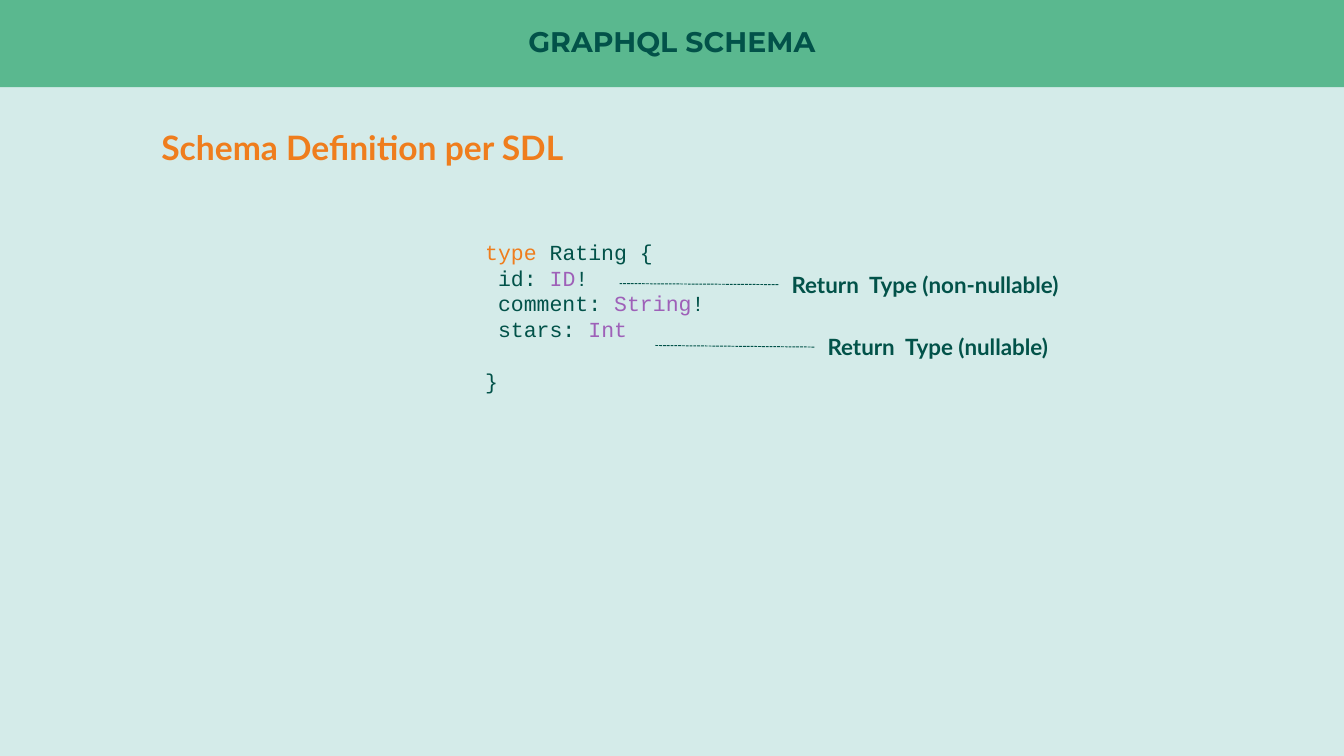
from lxml import etree
from pptx import Presentation
from pptx import util as u
from pptx.dml.color import RGBColor
from pptx.enum import dml, shapes, text
from pptx.oxml.ns import qn

COLORS = {
    "background": "D4EBE9",
    "band": "5AB88F",
    "dark": "025249",
    "orange": "EF7D1D",
    "purple": "9E60B8",
}
HEADING = {"name": "Montserrat", "size": u.Pt(15.2), "bold": True}
SUBHEADING = {"name": "Lato", "size": u.Pt(18), "bold": True}
LABEL = {"name": "Lato", "size": u.Pt(12), "bold": True}
CODE = {"name": "Courier New", "size": u.Pt(11.5), "bold": False}
CODE_PITCH = u.Pt(13.8)

WIDTH, HEIGHT, BAND_HEIGHT = 25.4, 14.29, 1.65

SCHEMA = [
    [("type", "orange"), (" Rating {", "dark")],
    [(" id: ", "dark"), ("ID", "purple"), ("!", "dark")],
    [(" comment: ", "dark"), ("String", "purple"), ("!", "dark")],
    [(" stars: ", "dark"), ("Int", "purple")],
    [("}", "dark")],
]
RETURN_TYPES = [
    ("Return  Type (non-nullable)", (14.71, 5.0), (11.71, 5.36)),
    ("Return  Type (nullable)", (15.39, 6.18), (12.37, 6.53)),
]


def color(name):
    return RGBColor.from_string(COLORS[name])


def apply(target, values):
    for name, value in values.items():
        setattr(target, name, value)


class SchemaSlide:
    def __init__(self, deck):
        self.slide = deck.slides.add_slide(deck.slide_layouts[5])
        fill = self.slide.background.fill
        fill.solid()
        fill.fore_color.rgb = color("background")

    def add_spans(self, para, spans, style, **layout):
        apply(para, layout)
        for words, tint in spans:
            span = para.add_run()
            span.text = words
            apply(span.font, style)
            span.font.color.rgb = color(tint)

    def title(self, words):
        box = self.slide.shapes.title
        apply(box, {"left": 0, "top": 0, "width": u.Cm(WIDTH), "height": u.Cm(BAND_HEIGHT)})
        band = self.slide.shapes.add_shape(
            shapes.MSO_SHAPE.RECTANGLE, 0, 0, u.Cm(WIDTH), u.Cm(BAND_HEIGHT))
        band.shadow.inherit = False
        band.fill.solid()
        band.fill.fore_color.rgb = color("band")
        band.line.fill.background()
        box.element.addprevious(band.element)
        frame = box.text_frame
        apply(frame, {"margin_left": 0, "margin_right": 0, "margin_top": 0, "margin_bottom": 0,
                      "vertical_anchor": text.MSO_ANCHOR.MIDDLE, "word_wrap": True})
        self.add_spans(frame.paragraphs[0], [(words, "dark")], HEADING,
                       alignment=text.PP_ALIGN.CENTER, line_spacing=0.9)

    def textbox(self, left, top, width, height, lines, style, **layout):
        box = self.slide.shapes.add_textbox(*map(u.Cm, (left, top, width, height)))
        frame = box.text_frame
        frame.word_wrap = True
        for index, spans in enumerate(lines):
            para = frame.add_paragraph() if index else frame.paragraphs[0]
            self.add_spans(para, spans, style, **layout)
        return box

    def leader(self, label, end):
        left, top = map(u.Cm, end)
        line = self.slide.shapes.add_connector(
            shapes.MSO_CONNECTOR.STRAIGHT, label.left, label.top, left, top)
        line.begin_connect(label, 1)
        line.line.color.rgb = color("dark")
        line.line.width = u.Pt(0.5)
        line.line.dash_style = dml.MSO_LINE.SQUARE_DOT
        etree.SubElement(line.element.spPr, qn("a:effectLst"))


def main():
    deck = Presentation()
    deck.slide_width, deck.slide_height = u.Cm(WIDTH), u.Cm(HEIGHT)
    page = SchemaSlide(deck)
    page.title("GRAPHQL SCHEMA")
    page.textbox(2.8, 2.13, 19.79, 1.12, [[("Schema Definition per SDL", "orange")]],
                 SUBHEADING, line_spacing=1.2)
    code = page.textbox(8.92, 4.39, 8.5, 4.67, SCHEMA, CODE, line_spacing=CODE_PITCH)
    code.text_frame.paragraphs[-1].space_before = CODE_PITCH
    for words, corner, end in RETURN_TYPES:
        label = page.textbox(*corner, 6.1, 0.76, [[(words, "dark")]], LABEL)
        page.leader(label, end)
    deck.save("out.pptx")


if __name__ == "__main__":
    main()
